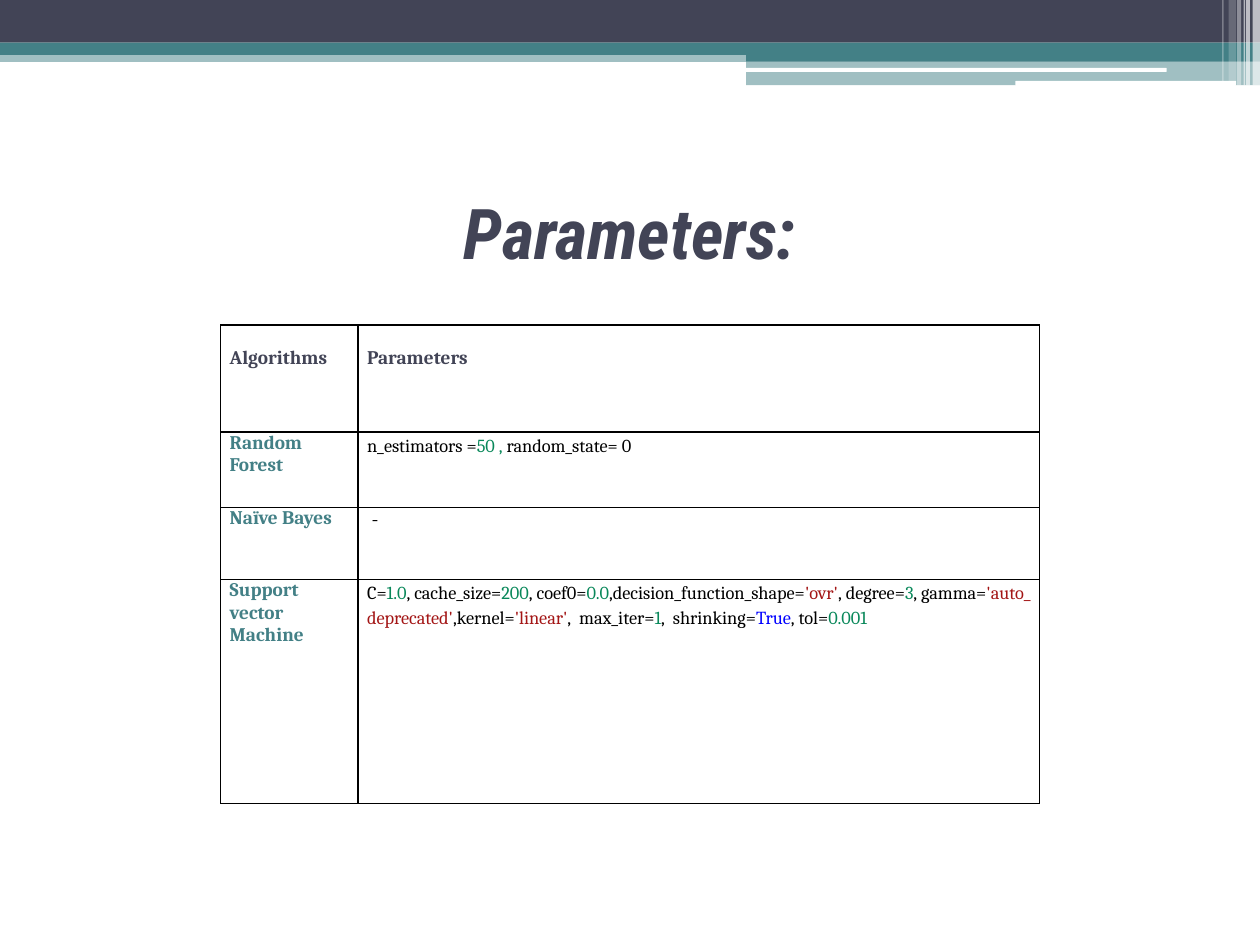
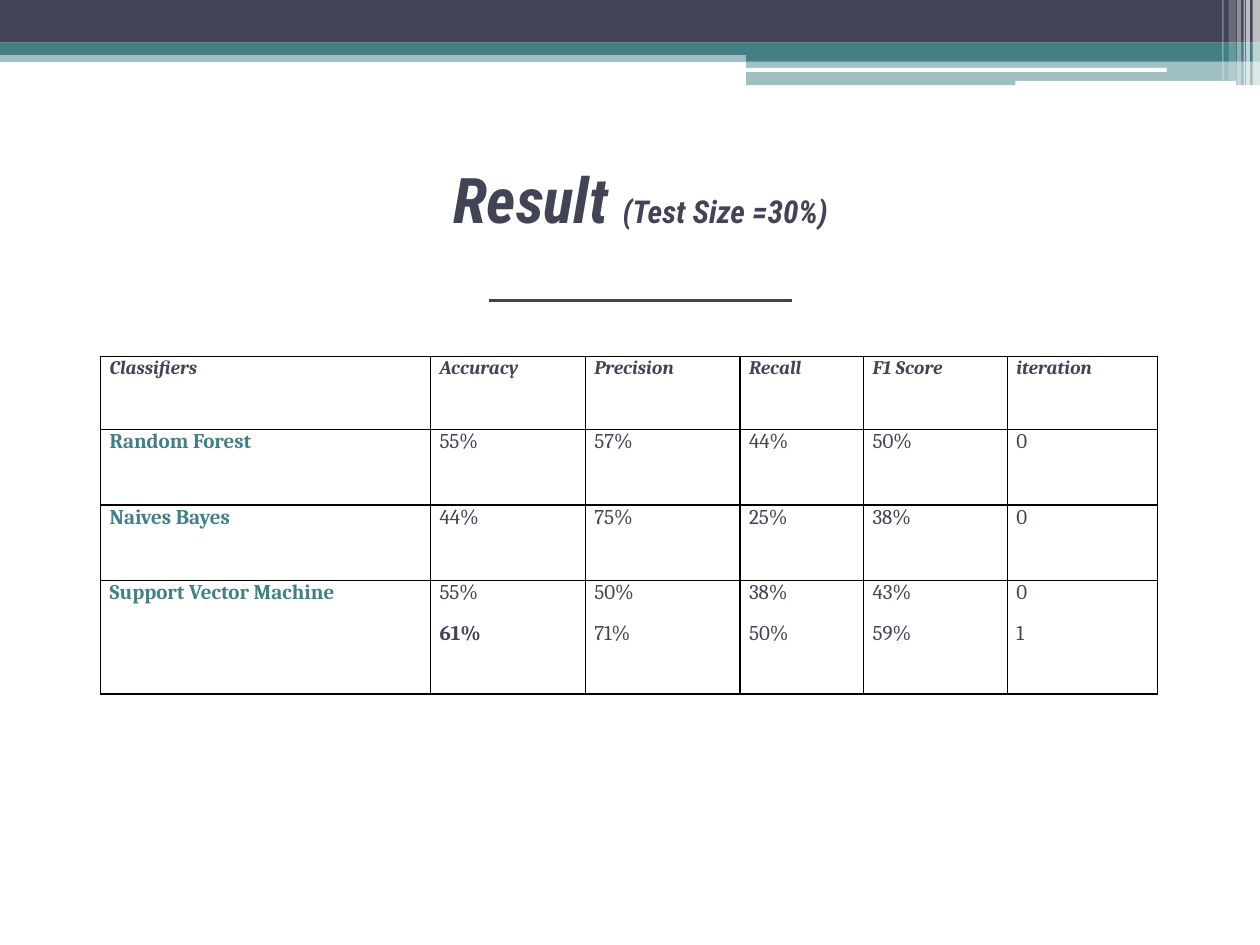
from dataclasses import dataclass

from lxml.etree import SubElement
from pptx import Presentation
from pptx.dml.color import RGBColor
from pptx.enum.shapes import MSO_CONNECTOR, MSO_SHAPE
from pptx.enum.text import MSO_ANCHOR, PP_ALIGN
from pptx.oxml.ns import qn
from pptx.util import Cm, Pt


@dataclass(frozen=True)
class Theme:
    navy: RGBColor = RGBColor(0x42, 0x44, 0x56)
    teal: RGBColor = RGBColor(0x43, 0x80, 0x86)
    white: RGBColor = RGBColor(0xFF, 0xFF, 0xFF)
    black: RGBColor = RGBColor(0, 0, 0)
    number: RGBColor = RGBColor(0x09, 0x88, 0x5A)
    string: RGBColor = RGBColor(0xA3, 0x15, 0x15)
    keyword: RGBColor = RGBColor(0, 0, 0xFF)
    title_font: str = "Roboto Condensed"
    body_font: str = "Cambria"
    title_size: float = 40
    result_size: float = 36
    note_size: float = 18
    head_size: float = 11
    value_size: float = 12
    code_size: float = 10.5
    code_leading: float = 14.2


THEME = Theme()

# Header bands: left, top, width, height (cm), colour, opacity in percent
BANDS = [
    (0, 1.02, 25.4, 0.23, THEME.teal, 50),
    (0, 0, 25.4, 0.86, THEME.navy, 100),
    (0, 0.86, 25.4, 0.25, THEME.teal, 100),
    (15.04, 0.99, 10.36, 0.25, THEME.teal, 100),
    (15.04, 1.24, 10.36, 0.48, THEME.teal, 50),
]
# White rounded lines: left, top, width, height (cm)
RULES = [(15.01, 1.37, 8.51, 0.08), (20.47, 1.63, 4.45, 0.1)]
# White vertical stripes: left, width, height (cm), opacity in percent
STRIPES = [
    (25.25, 0.15, 1.73, 65),
    (25.12, 0.08, 1.73, 65),
    (25.07, 0.03, 1.73, 60),
    (24.94, 0.08, 1.73, 40),
    (24.77, 0.15, 1.63, 20),
    (24.64, 0.03, 1.63, 30),
]


@dataclass
class Run:
    text: str
    size: float
    color: RGBColor
    bold: bool = False
    italic: bool = False


class Deck:
    def __init__(self, theme):
        self.theme = theme
        self.prs = Presentation()
        self.prs.slide_width, self.prs.slide_height = Cm(25.4), Cm(19.05)
        self.s = None

    def new_slide(self):
        self.s = self.prs.slides.add_slide(self.prs.slide_layouts[5])
        for band in BANDS:
            self.bar(*band)
        for rule in RULES:
            self.bar(*rule, self.theme.white, shape=MSO_SHAPE.ROUNDED_RECTANGLE)
        for left, width, height, opacity in STRIPES:
            self.bar(left, 0, width, height, self.theme.white, opacity)

    def bar(self, left, top, width, height, color, opacity=100,
            shape=MSO_SHAPE.RECTANGLE):
        sp = self.s.shapes.add_shape(shape, Cm(left), Cm(top), Cm(width), Cm(height))
        sp.shadow.inherit = False
        sp.line.fill.background()
        sp.fill.solid()
        sp.fill.fore_color.rgb = color
        if opacity < 100:
            clr = sp.element.spPr.find(qn("a:solidFill"))[0]
            SubElement(clr, qn("a:alpha"), val=str(opacity * 1000))

    def runs(self, p, runs, font):
        for run in runs:
            r = p.add_run()
            r.text = run.text
            r.font.name = font
            r.font.size = Pt(run.size)
            r.font.bold, r.font.italic = run.bold, run.italic
            r.font.color.rgb = run.color

    def title(self, runs, width, anchor=MSO_ANCHOR.MIDDLE):
        sp = self.s.shapes.title
        sp.left, sp.top, sp.width, sp.height = Cm(1.27), Cm(3.18), Cm(width), Cm(2.97)
        tf = sp.text_frame
        tf.word_wrap = True
        tf.vertical_anchor = anchor
        tf.margin_top = tf.margin_bottom = Cm(0.05)
        p = tf.paragraphs[0]
        p.alignment = PP_ALIGN.CENTER
        self.runs(p, runs, self.theme.title_font)

    def line(self, x1, x2, y):
        c = self.s.shapes.add_connector(
            MSO_CONNECTOR.STRAIGHT, Cm(x1), Cm(y), Cm(x2), Cm(y))
        c.line.color.rgb = self.theme.navy
        c.line.width = Pt(1.75)
        SubElement(c.element.spPr, qn("a:effectLst"))

    def borders(self, cell):
        tc_pr = cell._tc.get_or_add_tcPr()
        for side in ("lnL", "lnR", "lnT", "lnB"):
            ln = SubElement(tc_pr, qn(f"a:{side}"), w=str(Pt(1)))
            fill = SubElement(ln, qn("a:solidFill"))
            SubElement(fill, qn("a:srgbClr"), val=str(self.theme.black))

    def table(self, left, top, cols, rows, cells, head_margin=0,
              space_before=0, line_spacing=None):
        """Each cell is a list of paragraphs, each paragraph a list of runs."""
        tbl = self.s.shapes.add_table(
            len(rows), len(cols), Cm(left), Cm(top),
            Cm(sum(cols)), Cm(sum(rows))).table
        tbl.first_row = tbl.horz_banding = False
        for col, width in zip(tbl.columns, cols):
            col.width = Cm(width)
        for row, height in zip(tbl.rows, rows):
            row.height = Cm(height)
        for i, row in enumerate(cells):
            for j, paragraphs in enumerate(row):
                cell = tbl.cell(i, j)
                self.borders(cell)
                cell.fill.background()
                cell.margin_left = cell.margin_right = Cm(0.18)
                cell.margin_top = Cm(0 if i else head_margin)
                cell.margin_bottom = 0
                tf = cell.text_frame
                for k, runs in enumerate(paragraphs):
                    p = tf.add_paragraph() if k else tf.paragraphs[0]
                    p.space_before = Pt(space_before)
                    if runs[0].size == self.theme.code_size:
                        p.line_spacing = Pt(self.theme.code_leading)
                    elif line_spacing:
                        p.line_spacing = line_spacing
                    self.runs(p, runs, self.theme.body_font)


def code(*parts):
    """Alternate plain text with (text, colour) pairs; spaces do not break."""
    pairs = [(x, THEME.black) if isinstance(x, str) else x for x in parts]
    return [Run(t.replace(" ", chr(160)), THEME.code_size, c) for t, c in pairs]


def num(text):
    return text, THEME.number


def quoted(text):
    return f"'{text}'", THEME.string


def head(text, italic=False):
    return [[Run(text, THEME.head_size, THEME.navy, True, italic)]]


def name(text, size):
    return [[Run(text, size, THEME.teal, True)]]


def values(texts, best=None):
    return [[Run(t, THEME.value_size, THEME.navy, t == best)] for t in texts.split()]


def parameters_slide(deck):
    deck.new_slide()
    deck.title([Run("Parameters:", THEME.title_size, THEME.navy, True, True)], 22.86)
    forest = code("n_estimators =", num("50 , "), "random_state= 0")
    svm = code(
        "C=", num("1.0"), ", cache_size=", num("200"), ", coef0=", num("0.0"),
        ",decision_function_shape=", quoted("ovr"), ", degree=", num("3"),
        ", gamma=", quoted("auto_deprecated"), ",kernel=", quoted("linear"),
        ",  max_iter=", num("1"), ",  shrinking=", ("True", THEME.keyword),
        ", tol=", num("0.001"))
    none = [Run(" -", THEME.value_size, THEME.black)]
    size = THEME.head_size
    cells = [
        [head("Algorithms"), head("Parameters")],
        [name("Random Forest", size), [forest]],
        [name("Naïve Bayes", size), [none]],
        [name("Support vector Machine", size), [svm]],
    ]
    deck.table(4.45, 6.55, [2.77, 13.74], [2.16, 1.52, 1.45, 4.52], cells,
               head_margin=0.45)


def result_slide(deck):
    deck.new_slide()
    deck.title([
        Run("Result ", THEME.result_size, THEME.navy, True, True),
        Run("(Test Size =30%)", THEME.note_size, THEME.navy, True, True),
    ], 23.29, MSO_ANCHOR.TOP)
    deck.line(9.86, 15.97, 6.05)
    headings = ["Classifiers", "Accuracy", "Precision", "Recall", "F1 Score", "iteration"]
    scores = {
        "Random Forest": ["55%", "57%", "44%", "50%", "0"],
        "Naives Bayes": ["44%", "75%", "25%", "38%", "0"],
        "Support Vector Machine": ["55% 61%", "50% 71%", "38% 50%", "43% 59%", "0 1"],
    }
    cells = [[head(h, italic=True) for h in headings]]
    for classifier, row in scores.items():
        cells.append([name(classifier, THEME.value_size)]
                     + [values(v, best="61%") for v in row])
    deck.table(2.03, 7.19, [6.65, 3.12, 3.12, 2.49, 2.9, 3.02],
               [1.47, 1.52, 1.52, 2.29], cells, space_before=9.7, line_spacing=1.01)


def main():
    deck = Deck(THEME)
    parameters_slide(deck)
    result_slide(deck)
    deck.prs.save("out.pptx")


if __name__ == "__main__":
    main()
